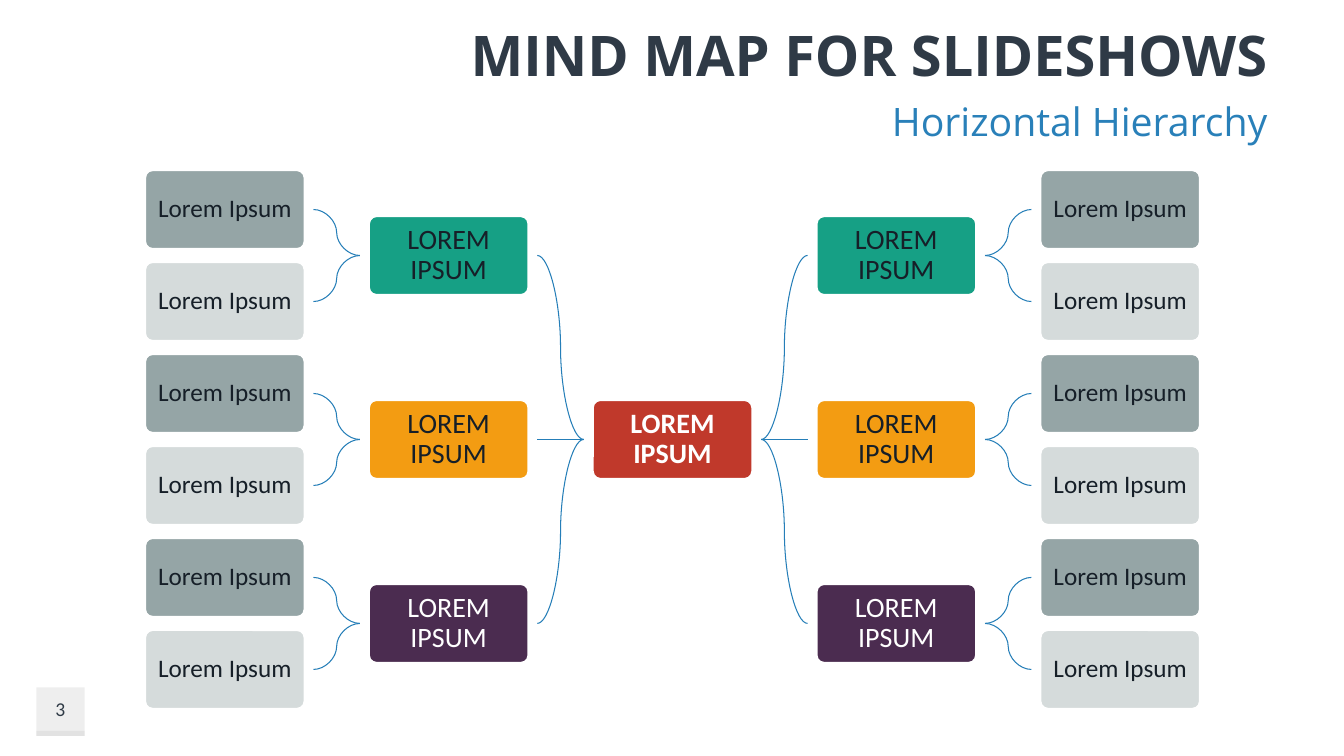
from lxml import etree
from pptx import Presentation
from pptx.dml.color import RGBColor
from pptx.enum.shapes import MSO_CONNECTOR as CONN, MSO_SHAPE as SHAPE
from pptx.enum.text import MSO_ANCHOR as ANCHOR, MSO_AUTO_SIZE as AUTO, PP_ALIGN as ALIGN
from pptx.oxml.ns import qn
from pptx.util import Inches, Pt

# Content
TITLE = "MIND MAP FOR SLIDESHOWS"
SUBTITLE = "Horizontal Hierarchy"
PAGE = "3"
ROOT = ("LOREM IPSUM", "red", "white")
BRANCHES = [  # text, fill, text colour, leaves
    ("LOREM IPSUM", "green", "ink", ["Lorem Ipsum", "Lorem Ipsum"]),
    ("LOREM IPSUM", "orange", "ink", ["Lorem Ipsum", "Lorem Ipsum"]),
    ("LOREM IPSUM", "purple", "white", ["Lorem Ipsum", "Lorem Ipsum"]),
]
LEAF_FILLS = ["slate", "mist"]
COLORS = {
    "title": "2F3A46", "subtitle": "2980B9", "ink": "161F28", "white": "FFFFFF",
    "red": "C0392B", "green": "16A085", "orange": "F39C12", "purple": "4B2C50",
    "slate": "95A5A6", "mist": "D5DBDB", "line": "257EB8", "badge": "BFBFBF",
}

# Geometry in inches
BOX_W, BOX_H = 1.59, 0.79
CENTER_X, CENTER_Y = 6.67, 4.36
COL_PITCH = 2.22
BRANCH_PITCH = 1.825
LEAF_PITCH = BRANCH_PITCH / 2
REACH = BOX_W / 2 + 0.085  # box centre to connector end

prs = Presentation()
prs.slide_width, prs.slide_height = Inches(13.33), Inches(7.5)
slide = prs.slides.add_slide(prs.slide_layouts[0])


def rgb(name):
    return RGBColor.from_string(COLORS[name])


def write(s, text, align, anchor, color, inset=None, spacing=None, **font):
    tf = s.text_frame
    tf.word_wrap, tf.auto_size, tf.vertical_anchor = True, AUTO.NONE, anchor
    if inset is not None:
        for side in ("left", "top", "right", "bottom"):
            setattr(tf, f"margin_{side}", Inches(inset))
    p = tf.paragraphs[0]
    p.alignment, p.line_spacing = align, spacing
    r = p.add_run()
    r.text = text
    r.font.color.rgb = rgb(color)
    for key, value in font.items():
        setattr(r.font, key, value)


def add_box(x, y, text, fill, color, size, bold=False):
    s = slide.shapes.add_shape(SHAPE.ROUNDED_RECTANGLE, Inches(x - BOX_W / 2),
                               Inches(y - BOX_H / 2), Inches(BOX_W), Inches(BOX_H))
    s.adjustments[0] = 0.1
    s.shadow.inherit = False
    s.fill.solid()
    s.fill.fore_color.rgb = rgb(fill)
    s.line.color.rgb = rgb("white")
    s.line.width = Pt(2)
    write(s, text, ALIGN.CENTER, ANCHOR.MIDDLE, color, inset=0.05, spacing=0.9,
          name="Calibri", size=Pt(size), bold=bold)


def link(x1, y1, x2, y2):
    kind = CONN.STRAIGHT if y1 == y2 else CONN.CURVE
    c = slide.shapes.add_connector(kind, *map(Inches, (x1, y1, x2, y2)))
    c.line.color.rgb = rgb("line")
    c.line.width = Pt(0.75)
    etree.SubElement(c._element.spPr, qn("a:effectLst"))


# Page badge: pale square with a darker foot
for top, height in [(6.82, 0.48), (7.25, 0.05)]:
    s = slide.shapes.add_shape(SHAPE.RECTANGLE, *map(Inches, (0.36, top, 0.48, height)))
    s.shadow.inherit = False
    s.line.fill.background()
    s.fill.solid()
    s.fill.fore_color.rgb = rgb("badge")
    clr = s._element.spPr.find(qn("a:solidFill"))[0]
    etree.SubElement(clr, qn("a:alpha"), val="25000")
number = slide.shapes.add_textbox(*map(Inches, (0.36, 6.82, 0.48, 0.43)))
write(number, PAGE, ALIGN.CENTER, ANCHOR.MIDDLE, "title", name="Calibri", size=Pt(14))

# Title and subtitle
headings = [
    (slide.shapes.title, TITLE, 0.15, 0.77, ANCHOR.MIDDLE, "title", 40, True),
    (slide.placeholders[1], SUBTITLE, 0.92, 0.57, ANCHOR.TOP, "subtitle", 28, False),
]
for s, text, top, height, anchor, color, size, bold in headings:
    s.left, s.top, s.width, s.height = map(Inches, (1.95, top, 10.72, height))
    write(s, text, ALIGN.RIGHT, anchor, color, name="Open Sans", size=Pt(size), bold=bold)

# Mind map: root, then branches and leaves mirrored on both sides
add_box(CENTER_X, CENTER_Y, *ROOT, 20, True)
for side in (-1, 1):
    branch_x = CENTER_X + side * COL_PITCH
    leaf_x = CENTER_X + side * 2 * COL_PITCH
    for i, (text, fill, color, leaves) in enumerate(BRANCHES):
        y = CENTER_Y + (i - 1) * BRANCH_PITCH
        add_box(branch_x, y, text, fill, color, 20)
        link(CENTER_X + side * REACH, CENTER_Y, branch_x - side * REACH, y)
        for j, leaf in enumerate(leaves):
            leaf_y = y + (j - 0.5) * LEAF_PITCH
            add_box(leaf_x, leaf_y, leaf, LEAF_FILLS[j], "ink", 18)
            link(branch_x + side * REACH, y, leaf_x - side * REACH, leaf_y)

prs.save("out.pptx")
